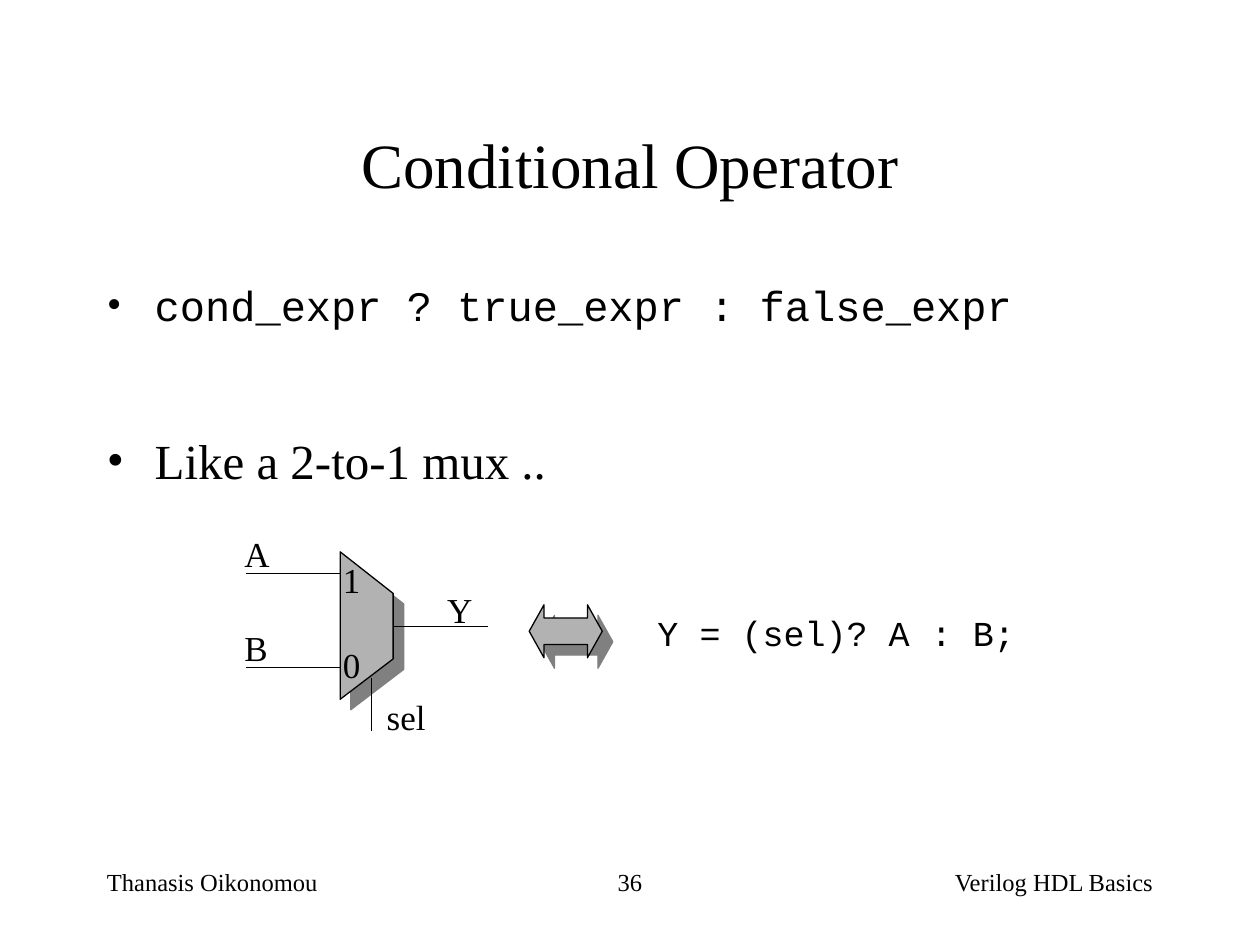
from lxml import etree
from pptx import Presentation
from pptx.dml.color import RGBColor
from pptx.enum.shapes import MSO_CONNECTOR, MSO_SHAPE
from pptx.enum.text import MSO_ANCHOR, MSO_AUTO_SIZE, PP_ALIGN
from pptx.oxml.ns import qn
from pptx.util import Inches, Pt

LEFT, CENTER, RIGHT = PP_ALIGN.LEFT, PP_ALIGN.CENTER, PP_ALIGN.RIGHT
TOP, MIDDLE = MSO_ANCHOR.TOP, MSO_ANCHOR.MIDDLE
GROW = MSO_AUTO_SIZE.SHAPE_TO_FIT_TEXT
STRAIGHT = MSO_CONNECTOR.STRAIGHT
DOUBLE_ARROW = MSO_SHAPE.LEFT_RIGHT_ARROW

COLORS = {"ink": "000000", "fill": "B2B2B2", "shadow": "808080"}
SERIF, MONO = "Times New Roman", "Courier New"


class SlideWriter:
    """Holds the slide and the shared style of its elements."""

    line_width = Pt(0.75)

    def __init__(self, page):
        self.page = page

    def color(self, name):
        return RGBColor.from_string(COLORS[name])

    def text_frame(self, left, top, width, height, anchor=TOP, wrap=True):
        box = self.page.shapes.add_textbox(
            Inches(left), Inches(top), Inches(width), Inches(height))
        frame = box.text_frame
        frame.word_wrap = wrap
        frame.vertical_anchor = anchor
        return frame

    def span(self, para, text, size, font):
        span = para.add_run()
        span.text = text
        span.font.size = Pt(size)
        span.font.name = font
        span.font.color.rgb = self.color("ink")

    def text(self, place, text, size, font=SERIF, align=LEFT, anchor=TOP):
        para = self.text_frame(*place, anchor=anchor).paragraphs[0]
        para.alignment = align
        self.span(para, text, size, font)

    def label(self, left, top, width, text, font=SERIF, align=CENTER, wrap=False):
        frame = self.text_frame(left, top, width, 0.44, MIDDLE, wrap)
        frame.auto_size = GROW
        para = frame.paragraphs[0]
        para.alignment = align
        self.span(para, text, 20, font)

    def bullet(self, para, text, size, font, before, spacing=1.0):
        para.space_before = Pt(before)
        para.line_spacing = spacing
        props = para._p.get_or_add_pPr()
        props.set("marL", str(Inches(0.38)))
        props.set("indent", str(-Inches(0.38)))
        bullet_color = etree.SubElement(props, qn("a:buClr"))
        etree.SubElement(bullet_color, qn("a:srgbClr"), val=COLORS["ink"])
        etree.SubElement(props, qn("a:buFont"), typeface=SERIF)
        etree.SubElement(props, qn("a:buChar"), char="•")
        self.span(para, text, size, font)

    def shade(self, shape):
        """Grey fill, thin outline and a hard shadow to the lower right."""
        shape.fill.solid()
        shape.fill.fore_color.rgb = self.color("fill")
        shape.line.color.rgb = self.color("ink")
        shape.line.width = self.line_width
        shape.shadow.inherit = False
        effects = shape._element.spPr.find(qn("a:effectLst"))
        shadow = etree.SubElement(
            effects, qn("a:outerShdw"), blurRad="0", dist=str(Pt(8.5)),
            dir=str(45 * 60000), algn="ctr", rotWithShape="0")
        etree.SubElement(shadow, qn("a:srgbClr"), val=COLORS["shadow"])

    def polygon(self, points):
        corners = [(Inches(x), Inches(y)) for x, y in points]
        builder = self.page.shapes.build_freeform(*corners[0])
        builder.add_line_segments(corners[1:], close=True)
        self.shade(builder.convert_to_shape())

    def double_arrow(self, left, top, width, height):
        arrow = self.page.shapes.add_shape(
            DOUBLE_ARROW, Inches(left), Inches(top), Inches(width), Inches(height))
        arrow.adjustments[0] = 0.5
        arrow.adjustments[1] = 0.28
        self.shade(arrow)

    def wire(self, x1, y1, x2, y2):
        wire = self.page.shapes.add_connector(
            STRAIGHT, Inches(x1), Inches(y1), Inches(x2), Inches(y2))
        wire.line.color.rgb = self.color("ink")
        wire.line.width = self.line_width
        etree.SubElement(wire._element.spPr, qn("a:effectLst"))


def main():
    deck = Presentation()
    deck.slide_width, deck.slide_height = Inches(10), Inches(7.5)
    writer = SlideWriter(deck.slides.add_slide(deck.slide_layouts[6]))

    # Footer
    for left, width, text, align in (
            (0.75, 2.08, "Thanasis Oikonomou", LEFT),
            (6.08, 3.17, "Verilog HDL Basics", RIGHT),
            (3.96, 2.08, "36", CENTER)):
        writer.text((left, 6.83, width, 0.5), text, 14, align=align)

    # Title and bullets
    writer.text((0.75, 0.67, 8.5, 1.25), "Conditional Operator", 36,
                align=CENTER, anchor=MIDDLE)
    body = writer.text_frame(0.75, 2.17, 8.5, 4.5)
    writer.bullet(body.paragraphs[0], "cond_expr ? true_expr : false_expr",
                  24, MONO, before=6)
    writer.bullet(body.add_paragraph(), "Like a 2-to-1 mux ..",
                  28, SERIF, before=7, spacing=2.5)

    # Multiplexer with its inputs, output and select wire
    mux_left, mux_right = 2.7, 3.12
    writer.polygon([(mux_left, 5.55), (mux_right, 5.23),
                    (mux_right, 4.71), (mux_left, 4.38)])
    for y in (4.55, 5.3):
        writer.wire(mux_left, y, mux_left - 0.75, y)
    writer.wire(mux_right + 0.75, 4.97, mux_right, 4.97)
    writer.wire(2.95, 5.38, 2.95, 5.8)

    # Signal names
    writer.label(1.84, 4.17, 0.4, "A")
    writer.label(1.84, 4.92, 0.38, "B")
    writer.label(3.45, 4.62, 0.4, "Y")
    writer.label(2.97, 5.47, 0.51, "sel", align=LEFT)

    # Equivalent expression
    writer.double_arrow(4.2, 4.8, 0.58, 0.42)
    writer.label(5.12, 4.8, 3.04, "Y = (sel)? A : B;", MONO, LEFT)

    # Input numbers inside the multiplexer
    for top, digit in ((5.05, "0"), (4.38, "1")):
        writer.label(2.62, top, 0.34, digit, wrap=True)

    deck.save("out.pptx")


if __name__ == "__main__":
    main()
